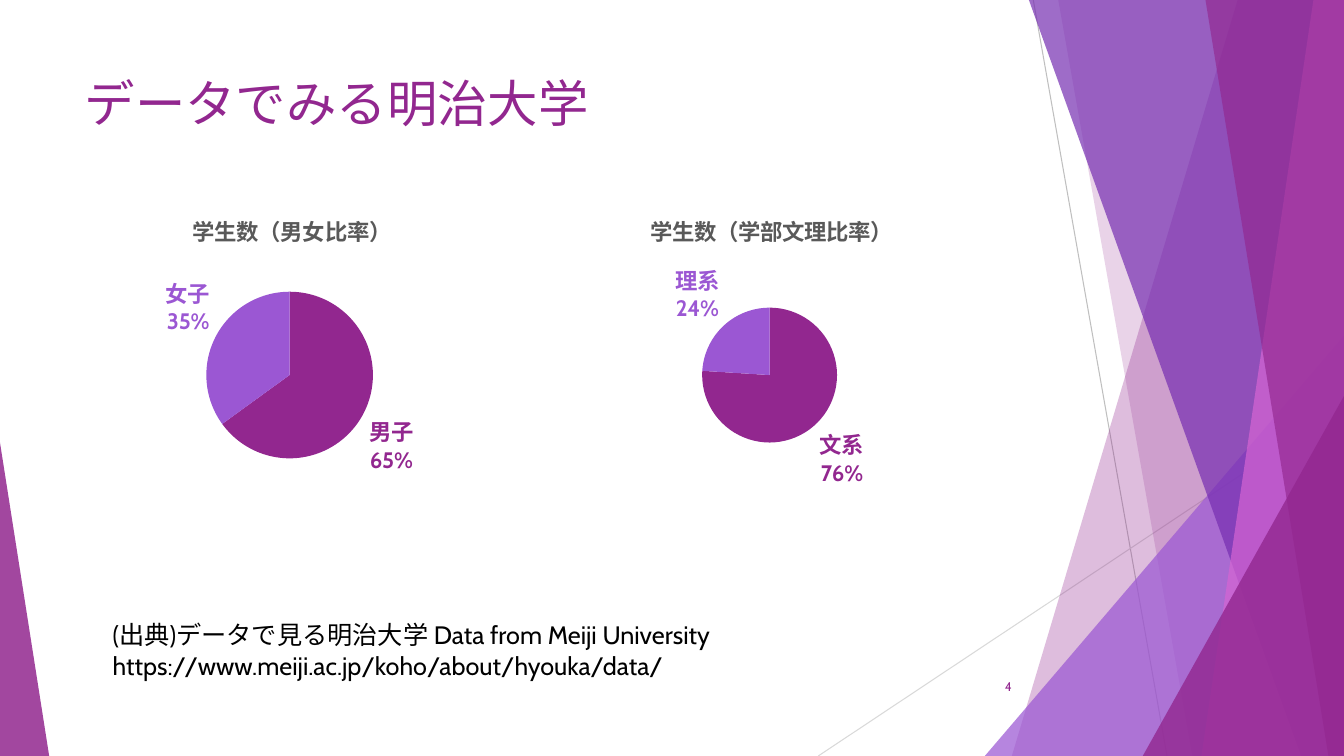
from dataclasses import dataclass

from lxml import etree
from pptx import Presentation
from pptx.chart.data import CategoryChartData
from pptx.dml.color import RGBColor
from pptx.enum.chart import XL_CHART_TYPE, XL_LABEL_POSITION
from pptx.enum.shapes import MSO_CONNECTOR, MSO_SHAPE
from pptx.enum.text import MSO_ANCHOR, MSO_AUTO_SIZE, PP_ALIGN
from pptx.oxml.ns import qn
from pptx.util import Cm, Pt

PIE = XL_CHART_TYPE.PIE
OUTSIDE = XL_LABEL_POSITION.OUTSIDE_END
LINE = MSO_CONNECTOR.STRAIGHT
TRIANGLE = MSO_SHAPE.ISOSCELES_TRIANGLE
TOP, MIDDLE = MSO_ANCHOR.TOP, MSO_ANCHOR.MIDDLE
LEFT, RIGHT = PP_ALIGN.LEFT, PP_ALIGN.RIGHT
NO_FIT = MSO_AUTO_SIZE.NONE


@dataclass(frozen=True)
class Theme:
    font: str = "Cabin"
    plum: str = "92278F"
    violet: str = "9B57D3"
    indigo: str = "762EB1"
    pink: str = "D665D3"
    grey: str = "595959"
    silver: str = "BFBFBF"
    mist: str = "D9D9D9"
    black: str = "000000"
    head: int = 36
    body: int = 18
    label: int = 16
    small: int = 9


THEME = Theme()
WIDE, HIGH = 33.87, 19.05


def style(font, size, color, bold=False):
    look = {"name": THEME.font, "size": Pt(size), "bold": bold}
    for key, value in look.items():
        setattr(font, key, value)
    font.color.rgb = RGBColor.from_string(color)


def write(shape, lines, size, color, align=LEFT, anchor=TOP):
    frame = shape.text_frame
    look = {"word_wrap": True, "auto_size": NO_FIT, "vertical_anchor": anchor}
    for key, value in look.items():
        setattr(frame, key, value)
    frame.text = "\n".join(lines)
    for para in frame.paragraphs:
        para.alignment = align
        for run in para.runs:
            style(run.font, size, color)


def tint(shape, color, alpha):
    """Fill without outline or shadow; alpha is the opacity in percent."""
    shape.shadow.inherit = False
    shape.line.fill.background()
    shape.fill.solid()
    shape.fill.fore_color.rgb = RGBColor.from_string(color)
    tone = shape.element.spPr.find(".//" + qn("a:srgbClr"))
    etree.SubElement(tone, qn("a:alpha"), val=str(alpha * 1000))


def ray(slide, start, end, color):
    line = slide.shapes.add_connector(LINE, *map(Cm, start + end))
    line.line.width = Pt(0.75)
    line.line.color.rgb = RGBColor.from_string(color)
    etree.SubElement(line.element.spPr, qn("a:effectLst"))


def blade(slide, top, base, color, alpha):
    """Slanted band from the points top and base to the right edge."""
    path = slide.shapes.build_freeform(Cm(top), 0)
    path.add_line_segments(
        [(Cm(x), Cm(y)) for x, y in ((WIDE, 0), (WIDE, HIGH), (base, HIGH))])
    tint(path.convert_to_shape(), color, alpha)


def wedge(slide, left, top, width, tip, color, alpha):
    """Triangle on the bottom edge, its tip at share tip of the width."""
    box = map(Cm, (left, top, width, HIGH - top))
    shape = slide.shapes.add_shape(TRIANGLE, *box)
    shape.adjustments[0] = tip
    tint(shape, color, alpha)


def facets(slide):
    ray(slide, (26.04, 0), (29.41, HIGH), THEME.silver)
    ray(slide, (WIDE, 10.24), (20.62, HIGH), THEME.mist)
    blade(slide, 31.19, 25.5, THEME.plum, 30)
    blade(slide, 26.67, 30.05, THEME.plum, 20)
    wedge(slide, 24.82, 8.46, WIDE - 24.82, 1, THEME.violet, 72)
    blade(slide, 25.93, 32.79, THEME.indigo, 70)
    blade(slide, 33.1, 30.28, THEME.pink, 70)
    blade(slide, 30.38, 33.48, THEME.plum, 65)
    wedge(slide, 28.8, 9.98, WIDE - 28.8, 1, THEME.plum, 80)
    wedge(slide, 0, 11.15, 1.24, 0, THEME.plum, 85)


def heading(slide, box, text):
    title = slide.shapes.title
    for key, value in zip(("left", "top", "width", "height"), box):
        setattr(title, key, Cm(value))
    write(title, [text], THEME.head, THEME.plum)


def note(slide, box, lines, size, color, **place):
    shape = slide.shapes.add_textbox(*map(Cm, box))
    write(shape, lines, size, color, **place)


def pin(parent, index, **parts):
    """Give a chart part a fixed layout, in shares of the chart."""
    for old in parent.findall(qn("c:layout")):
        parent.remove(old)
    layout = etree.Element(qn("c:layout"))
    manual = etree.SubElement(layout, qn("c:manualLayout"))
    if "w" in parts:
        etree.SubElement(manual, qn("c:layoutTarget"), val="inner")
    for axis in ("x", "y"):
        etree.SubElement(manual, qn(f"c:{axis}Mode"), val="edge")
    for key, value in parts.items():
        etree.SubElement(manual, qn(f"c:{key}"), val=f"{value:.4f}")
    parent.insert(index, layout)


def label(series, index, color):
    """Show category and percent beside one slice, on two lines."""
    tag = series.points[index].data_label
    style(tag.font, THEME.label, color, True)
    tag.position = OUTSIDE
    node = series.data_labels._element.findall(qn("c:dLbl"))[index]
    for key, shown in (("Val", "0"), ("CatName", "1"), ("Percent", "1")):
        node.find(qn(f"c:show{key}")).set("val", shown)
    etree.SubElement(node, qn("c:separator")).text = "\n"


def pie(slide, box, text, shares, size):
    """Pie of the given diameter, centred in the box below its title."""
    data = CategoryChartData(number_format="0")
    data.categories = list(shares)
    data.add_series("学生数", shares.values())
    chart = slide.shapes.add_chart(PIE, *map(Cm, box), data).chart
    style(chart.font, THEME.label, THEME.black)
    chart.has_legend = False
    wide, high = box[2:]

    chart.has_title = True
    title = chart.chart_title
    title.text_frame.text = text
    style(title.text_frame.paragraphs[0].runs[0].font,
          THEME.label, THEME.grey, True)
    span = len(text) * Pt(THEME.label).cm
    pin(title._element, 1, x=(wide - span) / 2 / wide, y=0.06)

    plot = chart.plots[0]
    plot.vary_by_categories = True
    pin(plot._element.getparent(), 0,
        x=(wide - size) / 2 / wide, y=0.59 - size / 2 / high,
        w=size / wide, h=size / high)
    series = plot.series[0]
    for index, color in enumerate((THEME.plum, THEME.violet)):
        fill = series.points[index].format.fill
        fill.solid()
        fill.fore_color.rgb = RGBColor.from_string(color)
        label(series, index, color)


def main():
    deck = Presentation()
    deck.slide_width, deck.slide_height = Cm(WIDE), Cm(HIGH)
    slide = deck.slides.add_slide(deck.slide_layouts[5])
    facets(slide)
    heading(slide, (1.88, 1.7, 23.88, 3.66), "データでみる明治大学")
    note(slide, (23.85, 16.79, 1.9, 1.02), ["4"], THEME.small, THEME.plum,
         align=RIGHT, anchor=MIDDLE)
    pie(slide, (1.19, 4.78, 12.22, 7.92), "学生数（男女比率）",
        {"男子": 65, "女子": 35}, 4.2)
    pie(slide, (13.03, 4.78, 12.73, 7.92), "学生数（学部文理比率）",
        {"文系": 76, "理系": 24}, 3.4)
    note(slide, (2.59, 15.49, 22.22, 1.8),
         ["(出典)データで見る明治大学 Data from Meiji University",
          "https://www.meiji.ac.jp/koho/about/hyouka/data/"],
         THEME.body, THEME.black)
    deck.save("out.pptx")


if __name__ == "__main__":
    main()
